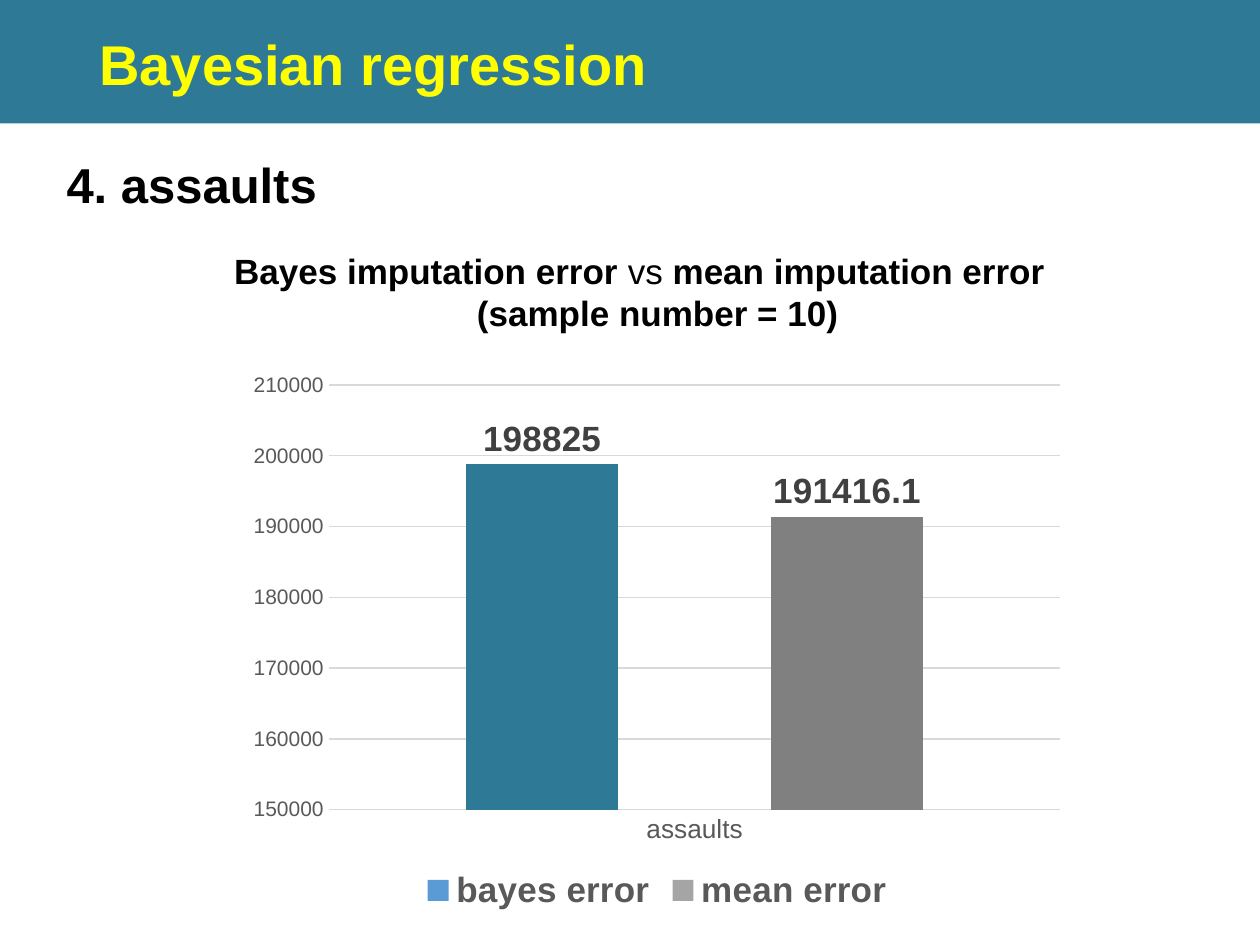
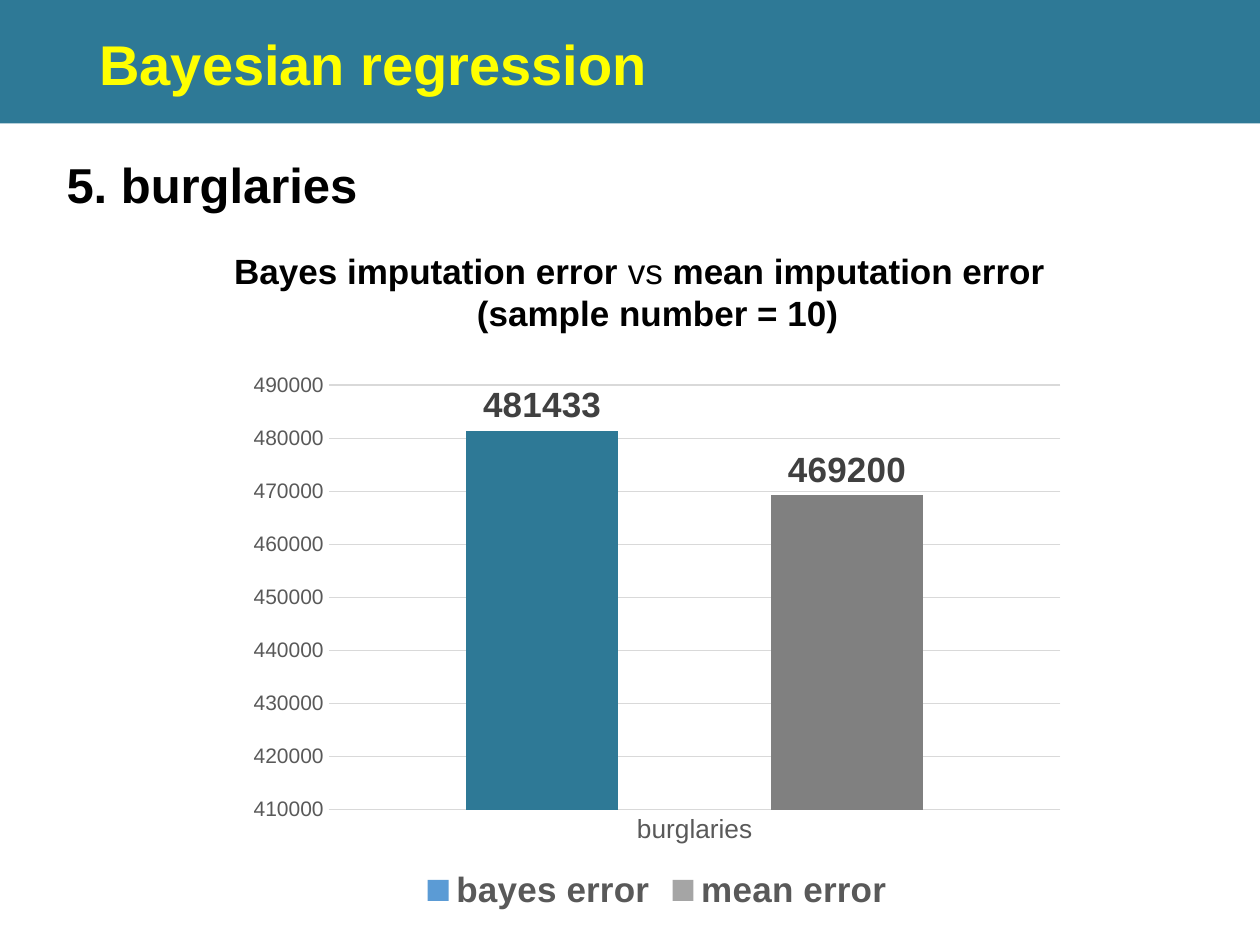
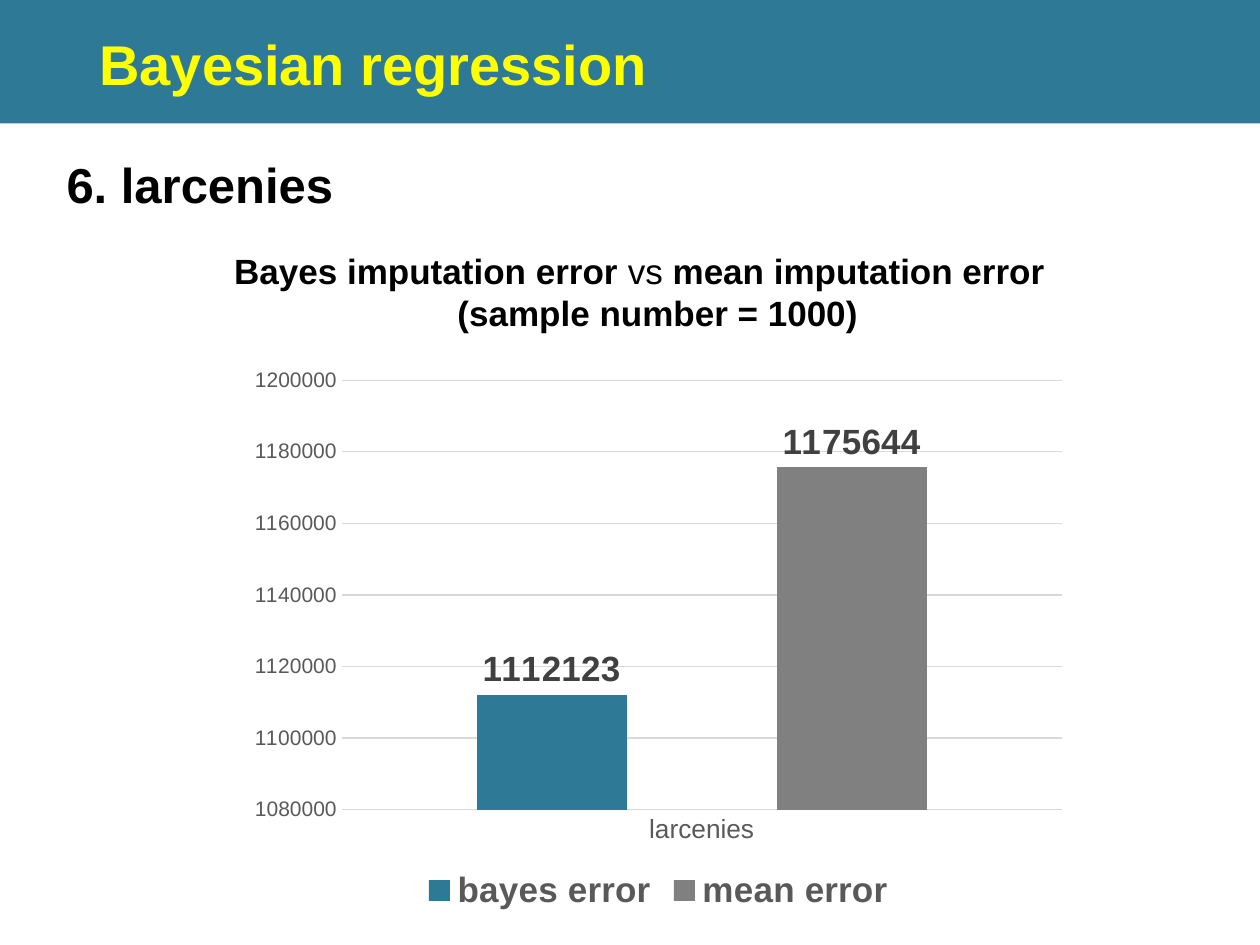
from pptx import Presentation
from pptx.chart.data import CategoryChartData
from pptx.dml.color import RGBColor
from pptx.enum.chart import XL_CHART_TYPE, XL_LABEL_POSITION, XL_LEGEND_POSITION, XL_TICK_MARK
from pptx.enum.shapes import MSO_SHAPE
from pptx.enum.text import MSO_ANCHOR, MSO_AUTO_SIZE, PP_ALIGN
from pptx.util import Inches, Pt

COLORS = {
    "teal": "2E7996",
    "gray": "808080",
    "blue": "5B9BD5",
    "silver": "A5A5A5",
    "yellow": "FFFF00",
    "black": "000000",
    "axis": "595959",
    "label": "404040",
    "grid": "D9D9D9",
}
FONT = "Arial"
BAR_COLORS = ("teal", "gray")
THEME_COLORS = ("blue", "silver")

SLIDES = [
    {"number": 4, "crime": "assaults", "samples": 10, "errors": (198825, 191416.1),
     "scale": (150000, 210000, 10000), "series_colors": THEME_COLORS,
     "chart_box": (1.88, 2.88, 6.67, 4.4)},
    {"number": 5, "crime": "burglaries", "samples": 10, "errors": (481433, 469200),
     "scale": (410000, 490000, 10000), "series_colors": THEME_COLORS,
     "chart_box": (1.88, 2.88, 6.67, 4.4)},
    {"number": 6, "crime": "larcenies", "samples": 1000, "errors": (1112123, 1175644),
     "scale": (1080000, 1200000, 20000), "series_colors": BAR_COLORS,
     "chart_box": (1.89, 2.84, 6.67, 4.44)},
]


def rgb(name):
    return RGBColor.from_string(COLORS[name])


def style_font(font, size, color, bold=False):
    font.name = FONT
    font.size = Pt(size)
    font.bold = bold
    font.color.rgb = rgb(color)


def paint(fill, color):
    fill.solid()
    fill.fore_color.rgb = rgb(color)


class Deck:
    def __init__(self):
        self.prs = Presentation()
        self.prs.slide_width = Inches(10)
        self.prs.slide_height = Inches(7.5)
        self.slide = None

    def new_slide(self, title):
        self.slide = self.prs.slides.add_slide(self.prs.slide_layouts[6])
        self.band()
        tf = self.text((0.69, 0.22, 9.06, 0.63), [[title]], 32, "yellow")
        tf.auto_size = MSO_AUTO_SIZE.NONE
        tf.vertical_anchor = MSO_ANCHOR.MIDDLE
        tf.paragraphs[0].line_spacing = 0.9

    def band(self):
        sp = self.slide.shapes.add_shape(
            MSO_SHAPE.RECTANGLE, 0, 0, self.prs.slide_width, Inches(0.98))
        sp.shadow.inherit = False
        paint(sp.fill, "teal")
        sp.line.fill.background()

    def text(self, box, paragraphs, size, color="black", plain=()):
        tf = self.slide.shapes.add_textbox(*map(Inches, box)).text_frame
        tf.word_wrap = True
        tf.auto_size = MSO_AUTO_SIZE.SHAPE_TO_FIT_TEXT
        for i, pieces in enumerate(paragraphs):
            p = tf.add_paragraph() if i else tf.paragraphs[0]
            for piece in pieces:
                r = p.add_run()
                r.text = piece
                style_font(r.font, size, color, bold=piece not in plain)
        return tf

    def chart_heading(self, samples):
        tf = self.text(
            (1.76, 1.93, 6.92, 0.77),
            [["Bayes imputation error ", "vs", " mean imputation error"],
             [f"(sample number = {samples})"]],
            20, plain=("vs",))
        tf.paragraphs[1].alignment = PP_ALIGN.CENTER

    def error_chart(self, box, crime, errors, scale, series_colors):
        data = CategoryChartData()
        data.categories = [crime]
        for name, error in zip(("bayes error", "mean error"), errors):
            data.add_series(name, [error])
        chart = self.slide.shapes.add_chart(
            XL_CHART_TYPE.COLUMN_CLUSTERED, *map(Inches, box), data).chart
        style_font(chart.font, 10, "black")
        chart.has_title = False
        chart.has_legend = True
        chart.legend.position = XL_LEGEND_POSITION.BOTTOM
        chart.legend.include_in_layout = False
        style_font(chart.legend.font, 20, "axis", bold=True)
        self.axes(chart, scale)
        self.bars(chart.plots[0], series_colors)

    def axes(self, chart, scale):
        cat, val = chart.category_axis, chart.value_axis
        for axis, size in ((cat, 15), (val, 12)):
            axis.major_tick_mark = axis.minor_tick_mark = XL_TICK_MARK.NONE
            style_font(axis.tick_labels.font, size, "axis")
        val.minimum_scale, val.maximum_scale, val.major_unit = scale
        val.format.line.fill.background()
        for line in (cat.format.line, val.major_gridlines.format.line):
            line.color.rgb = rgb("grid")
            line.width = Pt(0.75)

    def bars(self, plot, series_colors):
        plot.gap_width = 180
        plot.overlap = -100
        plot.vary_by_categories = False
        for series, color, bar_color in zip(plot.series, series_colors, BAR_COLORS):
            paint(series.format.fill, color)
            series.invert_if_negative = False
            if color != bar_color:
                paint(series.points[0].format.fill, bar_color)
            labels = series.data_labels
            labels.show_value = True
            labels.position = XL_LABEL_POSITION.OUTSIDE_END
            style_font(labels.font, 20, "label", bold=True)


def main():
    deck = Deck()
    for s in SLIDES:
        deck.new_slide("Bayesian regression")
        deck.text((0.43, 1.18, 4.54, 0.57), [[f"{s['number']}. {s['crime']}"]], 28)
        deck.chart_heading(s["samples"])
        deck.error_chart(s["chart_box"], s["crime"], s["errors"], s["scale"], s["series_colors"])
    deck.prs.save("out.pptx")


if __name__ == "__main__":
    main()
